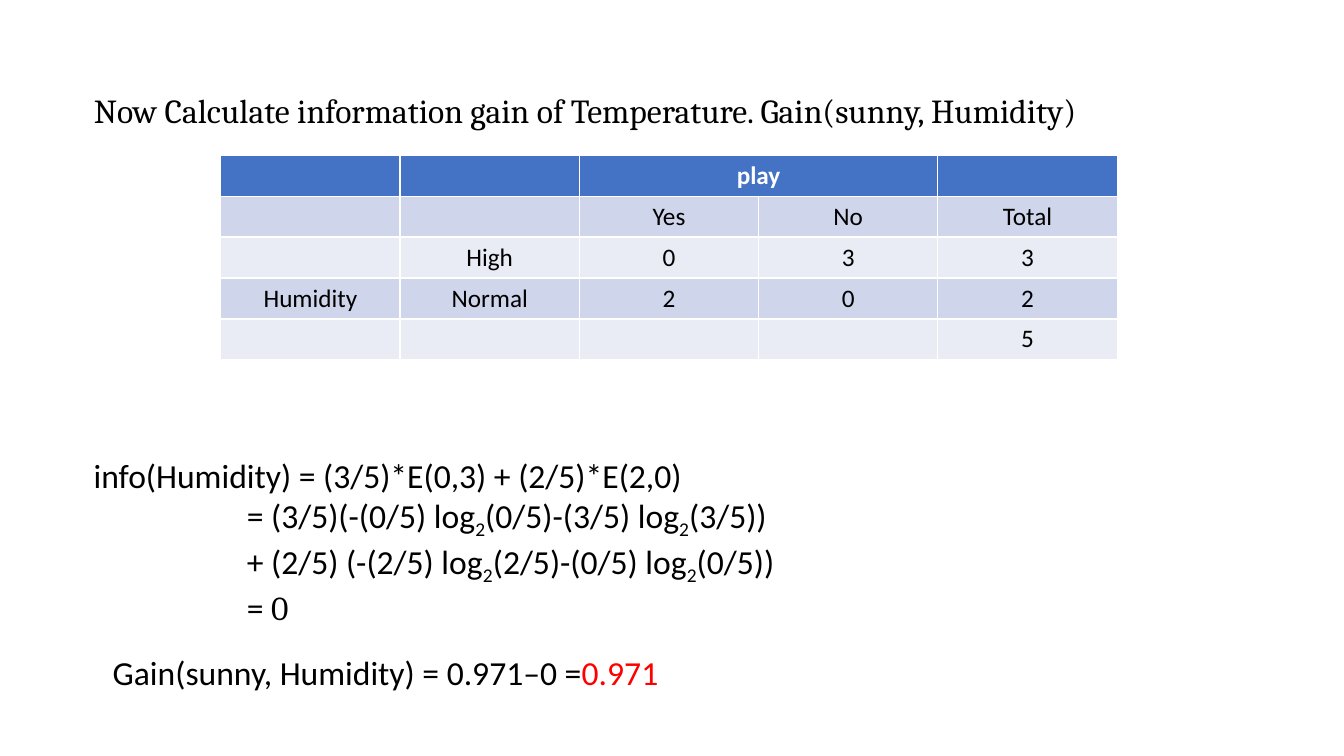
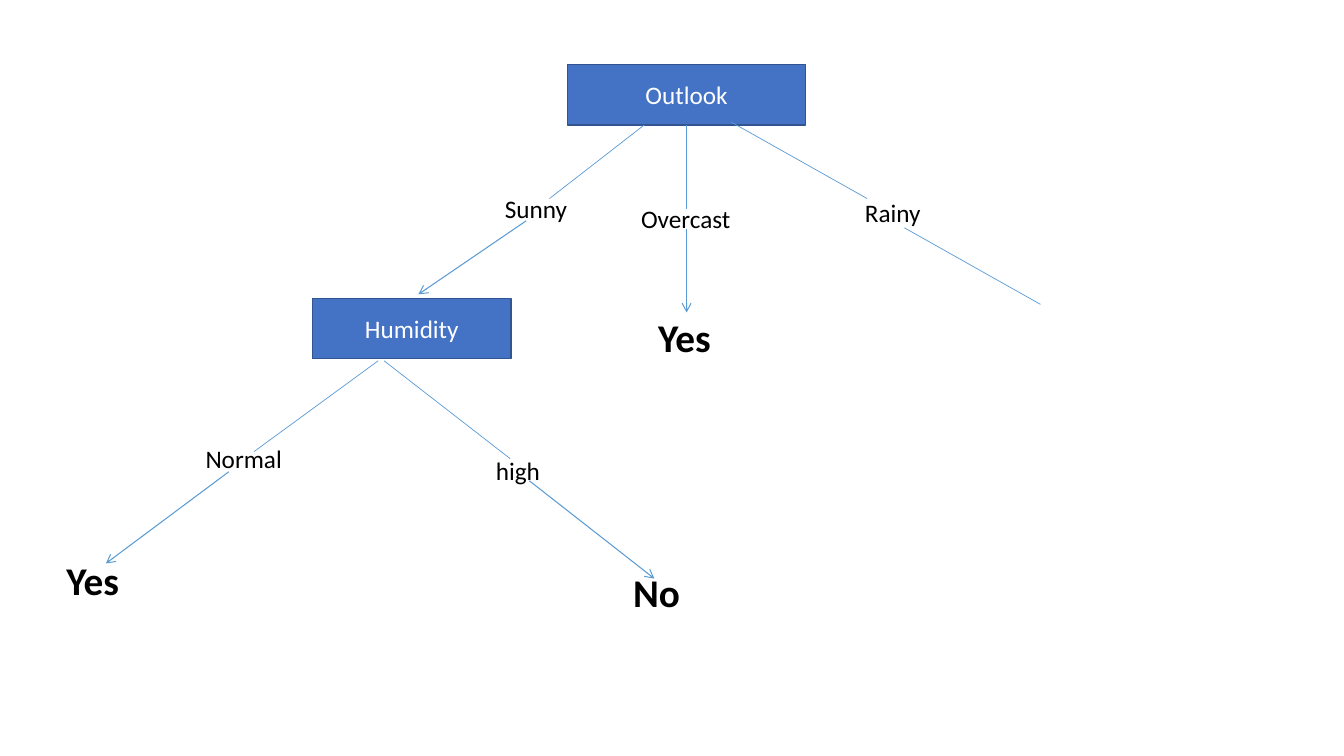
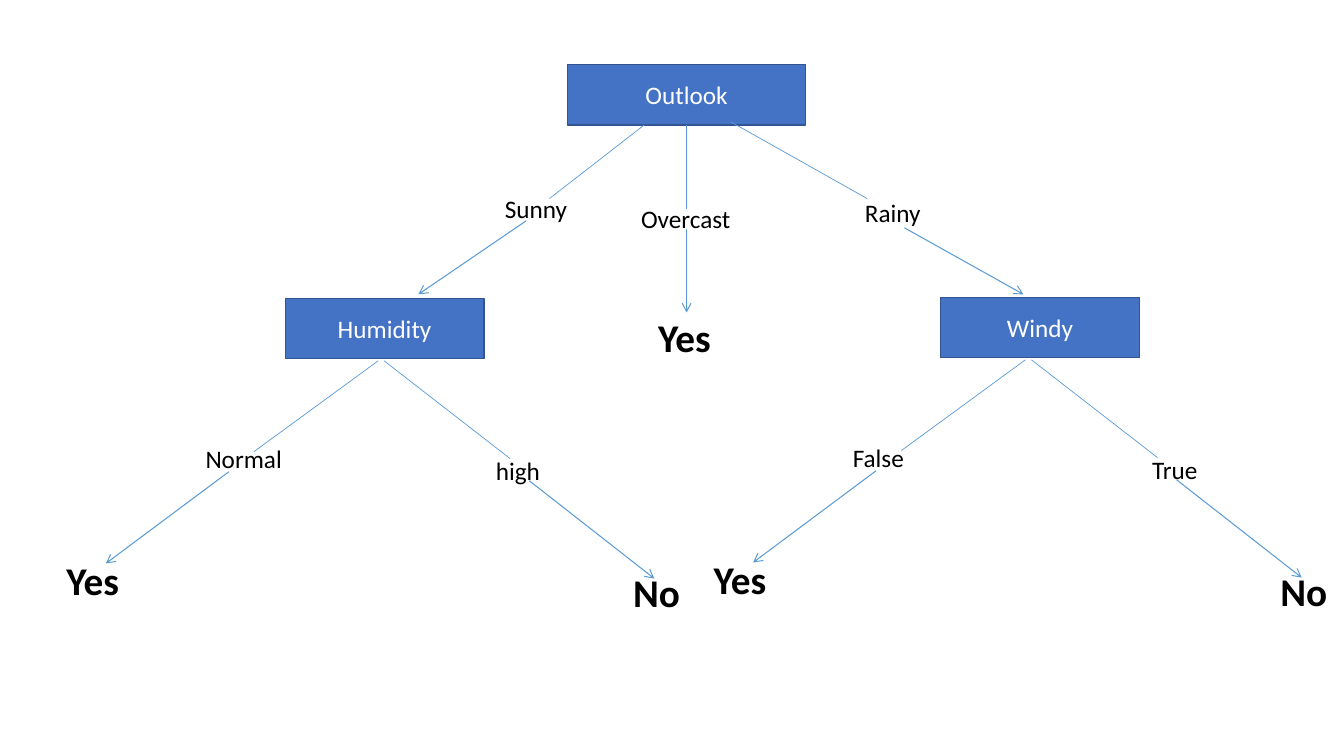
from pptx import Presentation
from pptx.dml.color import RGBColor
from pptx.enum.shapes import MSO_CONNECTOR, MSO_SHAPE
from pptx.enum.text import MSO_ANCHOR, MSO_AUTO_SIZE, PP_ALIGN
from pptx.oxml.ns import qn
from pptx.oxml.xmlchemy import OxmlElement
from pptx.util import Inches, Pt

LEFT, MID = PP_ALIGN.LEFT, PP_ALIGN.CENTER
TOP, CENTER = MSO_ANCHOR.TOP, MSO_ANCHOR.MIDDLE
GROW = MSO_AUTO_SIZE.SHAPE_TO_FIT_TEXT
RECT, LINE = MSO_SHAPE.RECTANGLE, MSO_CONNECTOR.STRAIGHT

BLACK = RGBColor(0x00, 0x00, 0x00)
WHITE = RGBColor(0xFF, 0xFF, 0xFF)
RED = RGBColor(0xFF, 0x00, 0x00)
BLUE = RGBColor(0x44, 0x72, 0xC4)
NAVY = RGBColor(0x32, 0x54, 0x91)
SKY = RGBColor(0x5B, 0x9B, 0xD5)
BANDS = RGBColor(0xE9, 0xEB, 0xF5), RGBColor(0xCF, 0xD5, 0xEA)

BODY = {"name": "Calibri", "size": Pt(24), "bold": False}
HEAD = BODY | {"name": "Cambria"}
TAG = BODY | {"size": Pt(18)}
LEAF = BODY | {"size": Pt(28), "bold": True}


def add_run(par, text, look, color=BLACK, sub=False):
    """Add a run with the given look to a paragraph."""
    run = par.add_run()
    run.text = text
    for key, value in look.items():
        setattr(run.font, key, value)
    run.font.color.rgb = color
    if sub:
        run._r.get_or_add_rPr().set("baseline", "-25000")


def add_text(slide, x, y, w, h, wrap=True):
    """Add an empty text box and return its frame."""
    frame = slide.shapes.add_textbox(*map(Inches, (x, y, w, h))).text_frame
    frame.word_wrap = wrap
    frame.auto_size = GROW
    return frame


def add_label(slide, text, x, y, w=0.96, h=0.4, look=TAG):
    """Place a one-line label."""
    add_run(add_text(slide, x, y, w, h).paragraphs[0], text, look)


def add_leaf(slide, text, x, y):
    """Place a bold answer."""
    add_label(slide, text, x, y, 0.79, 0.57, LEAF)


def add_node(slide, text, x, y, w):
    """Place a blue node of the tree."""
    node = slide.shapes.add_shape(RECT, *map(Inches, (x, y, w, 0.6)))
    node.shadow.inherit = False
    node.fill.solid()
    node.fill.fore_color.rgb = BLUE
    node.line.color.rgb = NAVY
    node.line.width = Pt(1)
    frame = node.text_frame
    frame.vertical_anchor = CENTER
    frame.paragraphs[0].alignment = MID
    add_run(frame.paragraphs[0], text, TAG, WHITE)


def add_edge(slide, x, y, ends, arrow=False):
    """Draw a line between two points given from the corner x, y."""
    x1, y1, x2, y2 = ends
    spots = map(Inches, (x + x1, y + y1, x + x2, y + y2))
    edge = slide.shapes.add_connector(LINE, *spots)
    edge.line.color.rgb = SKY
    edge.line.width = Pt(0.75 if arrow else 0.5)
    props = edge._element.spPr
    if arrow:
        tip = OxmlElement("a:tailEnd")
        tip.set("type", "arrow")
        props.find(qn("a:ln")).append(tip)
    props.append(OxmlElement("a:effectLst"))


def add_root(slide, x, y, full):
    """Draw the top of the tree, with its right arrow if it is full."""
    add_node(slide, "Outlook", x + 1.48, y, 2.36)
    for ends in ((2.24, 0.6, 1.3, 1.33), (2.66, 0.6, 2.66, 1.43),
                 (3.1, 0.57, 4.45, 1.33)):
        add_edge(slide, x, y, ends)
    for ends in ((1.07, 1.55, 0, 2.28), (2.66, 1.63, 2.66, 2.46)):
        add_edge(slide, x, y, ends, True)
    end = (6, 2.28) if full else (6.17, 2.38)
    add_edge(slide, x, y, (4.82, 1.62, *end), full)
    for text, dx, dy, w in (("Sunny", 0.76, 1.23, 0.96),
                            ("Overcast", 2.11, 1.33, 1.12),
                            ("Rainy", 4.33, 1.27, 1.01)):
        add_label(slide, text, x + dx, y + dy, w)
    add_leaf(slide, "Yes", x + 2.28, y + 2.42)


def add_fork(slide, x, y, name, shift, low, high, right=4.26):
    """Draw a node with two branches that end in Yes and No."""
    add_node(slide, name, x + shift, y - 0.6, 1.97)
    for ends in ((3.19, 0.02, 1.96, 0.92), (3.25, 0.02, 4.5, 0.99)):
        add_edge(slide, x, y, ends)
    for ends in ((1.71, 1.12, 0.49, 2.03), (4.69, 1.21, 5.93, 2.18)):
        add_edge(slide, x, y, ends, True)
    add_label(slide, low, x + 1.38, y + 0.79)
    add_label(slide, high, x + right, y + 0.91)
    add_leaf(slide, "Yes", x, y + 1.91)
    add_leaf(slide, "No", x + 5.62, y + 2.03)


def add_title(slide, text, x, y, w, h):
    """Move and format the title."""
    title = slide.shapes.title
    spot = {"left": x, "top": y, "width": w, "height": h}
    for key, value in spot.items():
        setattr(title, key, Inches(value))
    frame = title.text_frame
    frame.word_wrap = True
    frame.auto_size = GROW
    frame.vertical_anchor = TOP
    frame.paragraphs[0].alignment = LEFT
    add_run(frame.paragraphs[0], text, HEAD)


def add_grid(slide, x, y, w, h, rows):
    """Place the table of counts."""
    spot = map(Inches, (x, y, w, h))
    grid = slide.shapes.add_table(len(rows), len(rows[0]), *spot).table
    for i, row in enumerate(rows):
        for j, text in enumerate(row):
            cell = grid.cell(i, j)
            cell.fill.solid()
            cell.fill.fore_color.rgb = BANDS[i % 2] if i else BLUE
            par = cell.text_frame.paragraphs[0]
            par.alignment = MID
            if text:
                look = TAG | {"bold": i == 0}
                add_run(par, text, look, BLACK if i else WHITE)
    grid.cell(0, 2).merge(grid.cell(0, 3))


def add_sums(slide, x, y, w, h):
    """Place the working, with the lines after the first one indented."""
    frame = add_text(slide, x, y, w, h)
    first = "info(Humidity) = (3/5)*E(0,3) + (2/5)*E(2,0)"
    add_run(frame.paragraphs[0], first, BODY)
    steps = (("= (3/5)(-(0/5) log", "(0/5)-(3/5) log", "(3/5))"),
             ("+ (2/5) (-(2/5) log", "(2/5)-(0/5) log", "(0/5))"),
             ("= ",))
    for step in steps:
        par = frame.add_paragraph()
        par._p.get_or_add_pPr().set("marL", str(Inches(1.52)))
        for k, part in enumerate(step):
            if k:
                add_run(par, "2", BODY, sub=True)
            add_run(par, part, BODY)
    add_run(par, "0", HEAD)


def add_gain(slide, x, y, w, h):
    """Place the result."""
    par = add_text(slide, x, y, w, h, False).paragraphs[0]
    add_run(par, "Gain(sunny, Humidity) = 0.971–0 =", BODY)
    add_run(par, "0.971", BODY, RED)


def make_gain(deck):
    """Build the slide with the table and the working."""
    slide = deck.slides.add_slide(deck.slide_layouts[5])
    text = ("Now Calculate information gain of Temperature. "
            "Gain(sunny, Humidity)")
    add_title(slide, text, 0.83, 0.84, 10.61, 0.5)
    rows = (("", "", "play", "", ""),
            ("", "", "Yes", "No", "Total"),
            ("", "High", "0", "3", "3"),
            ("Humidity", "Normal", "2", "0", "2"),
            ("", "", "", "", "5"))
    add_grid(slide, 2.19, 1.54, 8.89, 2.03, rows)
    add_sums(slide, 0.83, 4.46, 12.06, 1.72)
    add_gain(slide, 1.02, 6.42, 5.66, 0.5)


def make_tree(deck, full):
    """Build a tree slide, with the right fork if it is full."""
    slide = deck.slides.add_slide(deck.slide_layouts[6])
    add_root(slide, 4.15, 0.64, full)
    shift = 2.27 if full else 2.54
    add_fork(slide, 0.56, 3.56, "Humidity", shift, "Normal", "high")
    if full:
        add_fork(slide, 6.98, 3.55, "Windy", 2.35, "False", "True", 4.35)


def main():
    """Build and save the deck."""
    deck = Presentation()
    deck.slide_width, deck.slide_height = Inches(13.33), Inches(7.5)
    make_gain(deck)
    for full in (False, True):
        make_tree(deck, full)
    deck.save("out.pptx")


if __name__ == "__main__":
    main()
